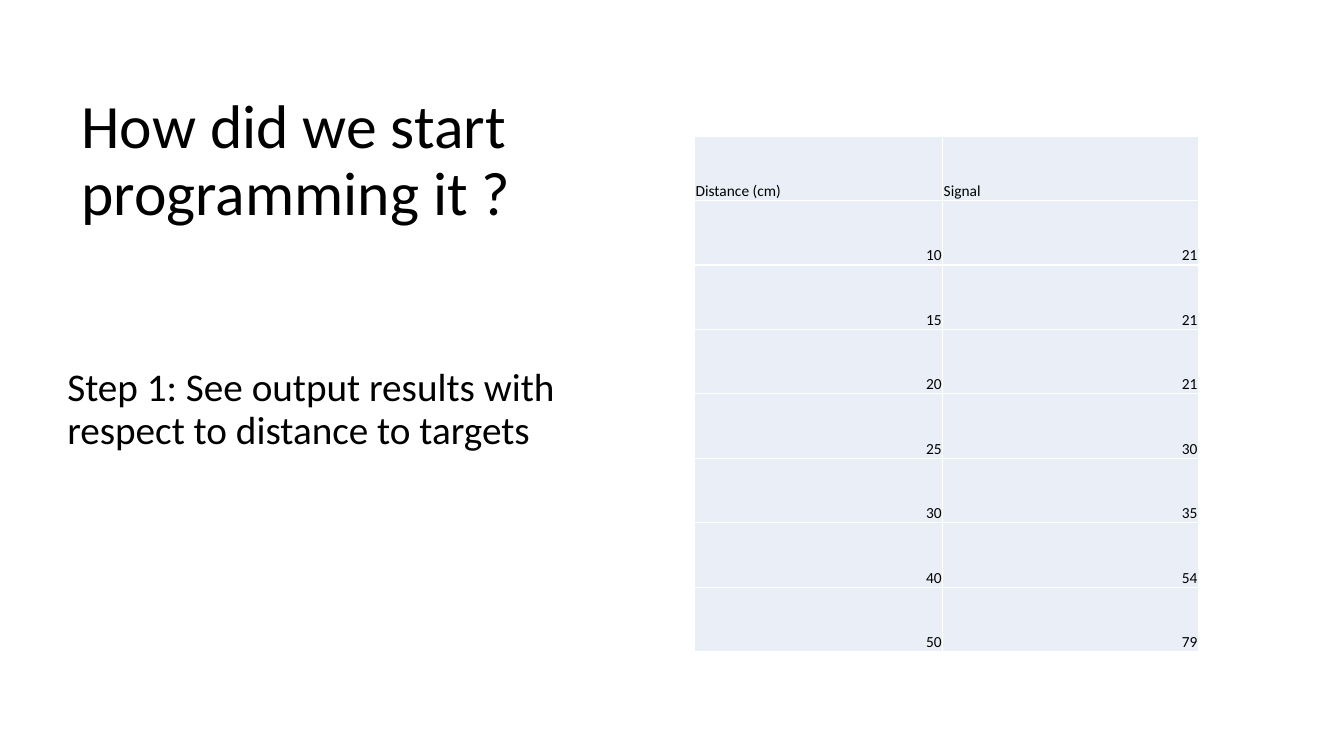
from lxml.etree import SubElement
from pptx import Presentation
from pptx.dml.color import RGBColor
from pptx.enum.text import MSO_AUTO_SIZE, MSO_ANCHOR, PP_ALIGN
from pptx.oxml.ns import qn
from pptx.util import Pt

COLORS = {"text": "000000", "cell": "EAEFF7", "border": "FFFFFF"}
READINGS = [
    ("Distance (cm)", "Signal"),
    (10, 21),
    (15, 21),
    (20, 21),
    (25, 30),
    (30, 35),
    (40, 54),
    (50, 79),
]
COLUMN_WIDTHS = [177.2, 182.6]
ROW_HEIGHT = 46.05


def write(frame, text, size, align=PP_ALIGN.LEFT):
    frame.text = text
    para = frame.paragraphs[0]
    para.alignment = align
    span = para.runs[0]
    span.font.name = "Calibri"
    span.font.size = Pt(size)
    span.font.color.rgb = RGBColor.from_string(COLORS["text"])
    return para


def add_borders(cell):
    properties = cell._tc.get_or_add_tcPr()
    for position, side in enumerate(("a:lnL", "a:lnR", "a:lnT", "a:lnB")):
        line = SubElement(properties, qn(side), w=str(Pt(1)))
        fill = SubElement(line, qn("a:solidFill"))
        SubElement(fill, qn("a:srgbClr"), val=COLORS["border"])
        properties.insert(position, line)


deck = Presentation()
deck.slide_width, deck.slide_height = Pt(960), Pt(540)
page = deck.slides.add_slide(deck.slide_layouts[5])

title = page.shapes.title
title.left, title.top, title.width, title.height = Pt(51), Pt(49.7), Pt(404), Pt(131.8)
title.text_frame.word_wrap = True
title.text_frame.auto_size = MSO_AUTO_SIZE.NONE
title.text_frame.vertical_anchor = MSO_ANCHOR.MIDDLE
write(title.text_frame, "How did we start programming it ?", 44).line_spacing = 0.9

step = page.shapes.add_textbox(Pt(41), Pt(259.2), Pt(404), Pt(298))
step.text_frame.word_wrap = True
step_text = "Step 1: See output results with respect to distance to targets"
write(step.text_frame, step_text, 28).line_spacing = 0.9

table = page.shapes.add_table(
    len(READINGS), len(COLUMN_WIDTHS), Pt(496.2), Pt(97.2),
    Pt(sum(COLUMN_WIDTHS)), Pt(ROW_HEIGHT * len(READINGS)),
).table
table.first_row = False
table.horz_banding = False
for column, width in zip(table.columns, COLUMN_WIDTHS):
    column.width = Pt(width)

for row_index, reading in enumerate(READINGS):
    table.rows[row_index].height = Pt(ROW_HEIGHT)
    for column_index, value in enumerate(reading):
        cell = table.cell(row_index, column_index)
        cell.margin_left = cell.margin_right = cell.margin_top = Pt(0.7)
        cell.margin_bottom = Pt(0)
        cell.vertical_anchor = MSO_ANCHOR.BOTTOM
        cell.fill.solid()
        cell.fill.fore_color.rgb = RGBColor.from_string(COLORS["cell"])
        add_borders(cell)
        align = PP_ALIGN.RIGHT if row_index else PP_ALIGN.LEFT
        write(cell.text_frame, str(value), 11, align)

deck.save("out.pptx")
